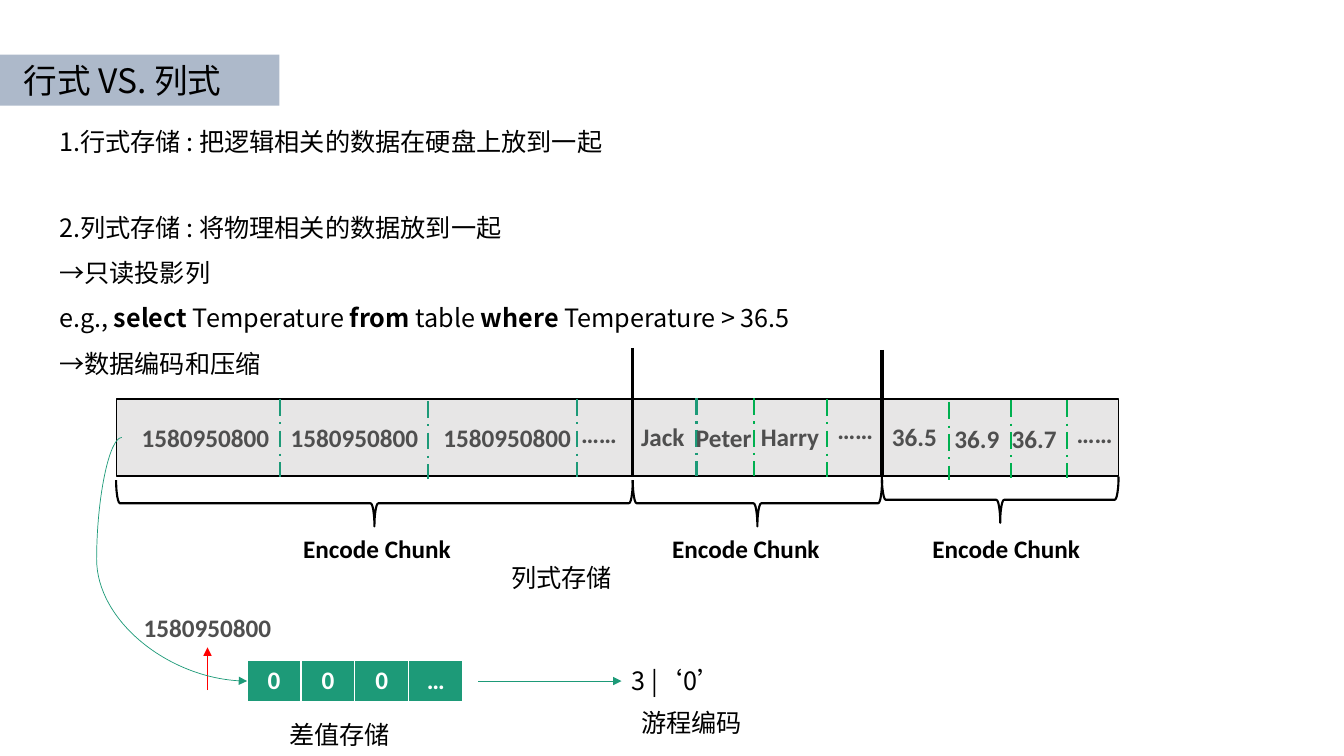
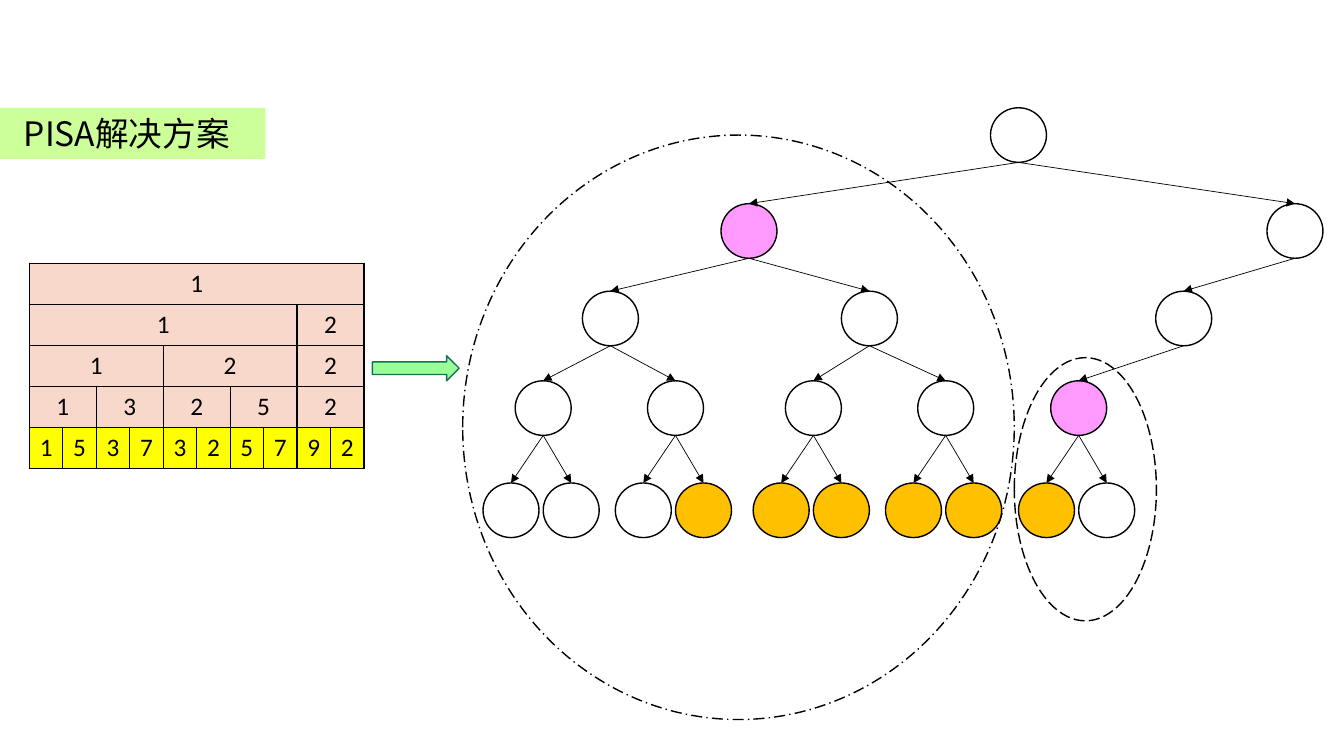
import lxml.etree
import pptx
import pptx.dml.color
import pptx.enum.dml
import pptx.enum.shapes
import pptx.enum.text
import pptx.oxml.ns
import pptx.util

Pt = pptx.util.Pt
RGBColor = pptx.dml.color.RGBColor
Align = pptx.enum.text.PP_ALIGN
Dash = pptx.enum.dml.MSO_LINE
Shape = pptx.enum.shapes.MSO_SHAPE
Connector = pptx.enum.shapes.MSO_CONNECTOR
qn = pptx.oxml.ns.qn

BLACK = RGBColor(0x00, 0x00, 0x00)
WHITE = RGBColor(0xFF, 0xFF, 0xFF)
GREY_TEXT = RGBColor(0x4F, 0x4F, 0x4F)
GREY_BAR = RGBColor(0xE7, 0xE6, 0xE6)
BLUE_BAND = RGBColor(0xAD, 0xB9, 0xCA)
LIME_BAND = RGBColor(0xCC, 0xFF, 0x99)
TEAL = RGBColor(0x1D, 0x9A, 0x78)
DARK_TEAL = RGBColor(0x15, 0x72, 0x59)
GREEN = RGBColor(0x00, 0xB0, 0x50)
LIGHT_GREEN = RGBColor(0x99, 0xFF, 0x99)
RED = RGBColor(0xFF, 0x00, 0x00)
PINK = RGBColor(0xFF, 0x99, 0xFF)
ORANGE = RGBColor(0xFF, 0xC0, 0x00)
PEACH = RGBColor(0xF8, 0xD8, 0xCA)
YELLOW = RGBColor(0xFF, 0xFF, 0x00)
LATIN = "Calibri"
CHINESE = "Noto Sans CJK SC"


def style_text(frame, name, colour, size=18, bold=None, align=Align.LEFT):
    """Format every run of a text frame; bold=None keeps the bold of each run."""
    for paragraph in frame.paragraphs:
        paragraph.alignment = align
        for span in paragraph.runs:
            span.font.size = Pt(size)
            span.font.color.rgb = colour
            span.font.name = name
            if bold is not None:
                span.font.bold = bold
            east_asian = lxml.etree.Element(qn("a:ea"), typeface=name)
            span.font._element.find(qn("a:latin")).addnext(east_asian)


def draw_line(page, start, end, colour, width, dash=None, arrow=False, kind=Connector.STRAIGHT):
    line = page.shapes.add_connector(kind, *map(Pt, start + end))
    line.line.color.rgb = colour
    line.line.width = Pt(width)
    if dash:
        line.line.dash_style = dash
    if arrow:
        lxml.etree.SubElement(line.line._get_or_add_ln(), qn("a:tailEnd"), type="triangle")
    lxml.etree.SubElement(line._element.spPr, qn("a:effectLst"))
    return line


deck = pptx.Presentation()
deck.slide_width = Pt(960)
deck.slide_height = Pt(540)

# Pages with their title bands
pages = []
for layout, text, top, width, colour in (
    (3, "行式 VS. 列式", 39, 199.5, BLUE_BAND),
    (5, "PISA解决方案", 77, 189.5, LIME_BAND),
):
    page = deck.slides.add_slide(deck.slide_layouts[layout])
    title = page.shapes.title
    title.left, title.top, title.width, title.height = Pt(0), Pt(top), Pt(width), Pt(36.5)
    title.fill.solid()
    title.fill.fore_color.rgb = colour
    title.text_frame.text = text
    title.text_frame.auto_size = pptx.enum.text.MSO_AUTO_SIZE.NONE
    title.text_frame.margin_left = Pt(17)
    style_text(title.text_frame, CHINESE, BLACK, size=24)
    pages.append(page)
storage_page, tree_page = pages

# Body text; parts between asterisks are bold
bodies = (
    (75.5, 431.5, 36, ("1.行式存储 : 把逻辑相关的数据在硬盘上放到一起",)),
    (137, 703.5, 134, (
        "2.列式存储 : 将物理相关的数据放到一起",
        "→只读投影列",
        "e.g., *select* Temperature *from* table *where* Temperature > 36.5",
        "→数据编码和压缩",
    )),
)
for number, (top, width, height, lines) in enumerate(bodies, start=1):
    body = storage_page.placeholders[number]
    body.left, body.top, body.width, body.height = Pt(35), Pt(top), Pt(width), Pt(height)
    frame = body.text_frame
    frame.auto_size = pptx.enum.text.MSO_AUTO_SIZE.NONE
    for index, text in enumerate(lines):
        paragraph = frame.add_paragraph() if index else frame.paragraphs[0]
        properties = paragraph._element.get_or_add_pPr()
        properties.set("marL", "0")
        properties.set("indent", "0")
        lxml.etree.SubElement(properties, qn("a:buNone"))
        paragraph.line_spacing = 1.5
        paragraph.space_before = Pt(0)
        for position, part in enumerate(text.split("*")):
            span = paragraph.add_run()
            span.text = part
            span.font.bold = position % 2 == 1
    style_text(frame, CHINESE, BLACK)

# Shapes: page, kind, left, top, width, height, fill, line colour, line width, dash, rotation
BAR_TOP, BAR_HEIGHT = 285, 55
CHUNK_EDGES = (83, 452, 630, 799)
shapes = [(storage_page, Shape.RECTANGLE, CHUNK_EDGES[0], BAR_TOP,
           CHUNK_EDGES[-1] - CHUNK_EDGES[0], BAR_HEIGHT, GREY_BAR, BLACK, 1, None, 0)]
BRACE_DEPTH = 33
for start, end, middle in zip(CHUNK_EDGES, CHUNK_EDGES[1:], (359.5, 359.5, 357)):
    length = end - start
    shapes.append((storage_page, Shape.LEFT_BRACE, (start + end - BRACE_DEPTH) / 2,
                   middle - length / 2, BRACE_DEPTH, length, None, BLACK, 1.5, None, 270))

shapes += [
    (tree_page, Shape.OVAL, 724.5, 255.5, 101.5, 188, WHITE, BLACK, 1, Dash.LONG_DASH, 0),
    (tree_page, Shape.OVAL, 330.5, 96.5, 394, 417.5, WHITE, BLACK, 1, Dash.LONG_DASH_DOT, 0),
    (tree_page, Shape.RIGHT_ARROW, 266, 254, 62, 18, LIGHT_GREEN, DARK_TEAL, 1, None, 0),
]

# Tree levels: each node has a centre, the index of its parent and a fill
NODE_WIDTH, NODE_HEIGHT = 40, 39
LEVEL_TOPS = (77, 145.5, 208, 272, 345)
levels = [
    [(727.5, None, WHITE)],
    [(535, 0, PINK), (925, 0, WHITE)],
    [(436, 0, WHITE), (621, 0, WHITE), (845.5, 1, WHITE)],
    [(388, 0, WHITE), (482.5, 0, WHITE), (581, 1, WHITE), (675.5, 1, WHITE), (770.5, 2, PINK)],
]
leaf_fills = ((WHITE, WHITE), (WHITE, ORANGE), (ORANGE, ORANGE), (ORANGE, ORANGE), (ORANGE, WHITE))
levels.append([
    (levels[3][parent][0] + offset, parent, fill)
    for parent, fills in enumerate(leaf_fills)
    for offset, fill in zip((-23, 20), fills)
])
for level, top in zip(levels, LEVEL_TOPS):
    for centre, parent, fill in level:
        shapes.append((tree_page, Shape.OVAL, centre - NODE_WIDTH / 2, top,
                       NODE_WIDTH, NODE_HEIGHT, fill, BLACK, 1, None, 0))

for page, kind, left, top, width, height, fill, colour, weight, dash, rotation in shapes:
    shape = page.shapes.add_shape(kind, Pt(left), Pt(top), Pt(width), Pt(height))
    shape.shadow.inherit = False
    shape.rotation = rotation
    if fill is None:
        shape.fill.background()
    else:
        shape.fill.solid()
        shape.fill.fore_color.rgb = fill
    shape.line.color.rgb = colour
    shape.line.width = Pt(weight)
    if dash:
        shape.line.dash_style = dash

# Tree arrows
for depth in range(1, len(levels)):
    for centre, parent, fill in levels[depth]:
        start = (levels[depth - 1][parent][0], LEVEL_TOPS[depth - 1] + NODE_HEIGHT)
        draw_line(tree_page, start, (centre, LEVEL_TOPS[depth]), BLACK, 0.5, arrow=True)

# Dividers of the column bar
for x, top, colour in (
    (200, 285, TEAL), (306, 286.5, TEAL), (412, 285, TEAL), (497.5, 284.5, TEAL),
    (538.5, 284.5, GREEN), (591, 285, GREEN),
    (678, 287.5, GREEN), (722, 286, GREEN), (762, 286, GREEN),
):
    draw_line(storage_page, (x, top), (x, top + 55.5), colour, 1.5, Dash.LONG_DASH_DOT)
for x, top in zip(CHUNK_EDGES[1:3], (248.5, 250)):
    draw_line(storage_page, (x, top), (x, BAR_TOP + BAR_HEIGHT), BLACK, 2.25)

# Labels: text, left, top, width
values = (
    ("1580950800", 87, 298, 119.5), ("1580950800", 193.5, 298, 119.5),
    ("1580950800", 302.5, 298, 119.5),
    ("Jack", 443, 297.5, 61), ("Peter", 486, 298, 62), ("Harry", 533, 297.5, 62.5),
    ("36.5", 623, 297.5, 60.5), ("36.9", 667.5, 299, 60.5), ("36.7", 708.5, 299, 60.5),
    ("1580950800", 88.5, 433.5, 119.5),
)
ellipses = (("……", 408, 295, 64), ("……", 591, 292.5, 54), ("……", 762, 295, 54))
chunk_names = [("Encode Chunk", left, 377.5, 132.5) for left in (209.5, 473, 659)]
captions = (
    ("列式存储", 358, 398, 107), ("差值存储", 199.5, 510.5, 88.5),
    ("游程编码", 451, 502, 106.5), ("3 |‘0’", 444, 472, 121.5),
)
boxes = []
for labels, name, colour, bold, align in (
    (ellipses, LATIN, GREY_TEXT, True, Align.LEFT),
    (chunk_names, LATIN, BLACK, True, Align.LEFT),
    (values, LATIN, GREY_TEXT, True, Align.CENTER),
    (captions, CHINESE, BLACK, False, Align.LEFT),
):
    for text, left, top, width in labels:
        box = storage_page.shapes.add_textbox(Pt(left), Pt(top), Pt(width), Pt(29))
        box.text_frame.word_wrap = True
        box.text_frame.text = text
        style_text(box.text_frame, name, colour, bold=bold, align=align)
    boxes.append(box)
base_value, run_length = boxes[2:]

# Arrows of the encoding steps
base_arrow = draw_line(storage_page, (148.25, 493), (148.25, 462.5), RED, 0.5, arrow=True)
base_arrow.end_connect(base_value, 2)
run_arrow = draw_line(storage_page, (341.5, 486.5), (444, 486.5), TEAL, 0.5, arrow=True)
run_arrow.end_connect(run_length, 1)
curve = draw_line(storage_page, (87, 312.5), (176.5, 486.5), TEAL, 0.5, arrow=True,
                  kind=Connector.CURVE)
guides = curve._element.spPr.find(qn("a:prstGeom")).find(qn("a:avLst"))
lxml.etree.SubElement(guides, qn("a:gd"), name="adj1", fmla="val -20100")

# Table of differences
differences = ("0", "0", "0", "…")
table = storage_page.shapes.add_table(
    1, len(differences), Pt(176.5), Pt(471.5), Pt(154), Pt(29.5)).table
for cell, text in zip(table.rows[0].cells, differences):
    cell.fill.solid()
    cell.fill.fore_color.rgb = TEAL
    cell.text_frame.text = text
    style_text(cell.text_frame, LATIN, WHITE, bold=True, align=Align.CENTER)

# Table of merged ranks: text and column span
rank_rows = (
    (("1", 10),),
    (("1", 8), ("2", 2)),
    (("1", 4), ("2", 4), ("2", 2)),
    (("1", 2), ("3", 2), ("2", 2), ("5", 2), ("2", 2)),
    tuple((digit, 1) for digit in "1537325792"),
)
table = tree_page.shapes.add_table(
    len(rank_rows), 10, Pt(21), Pt(188), Pt(239), Pt(146.5)).table
for row, ranks in enumerate(rank_rows):
    for cell in table.rows[row].cells:
        for side in ("a:lnL", "a:lnR", "a:lnT", "a:lnB"):
            border = lxml.etree.SubElement(
                cell._tc.get_or_add_tcPr(), qn(side), w=str(Pt(1)))
            border_fill = lxml.etree.SubElement(border, qn("a:solidFill"))
            lxml.etree.SubElement(border_fill, qn("a:srgbClr"), val=str(BLACK))
        cell.fill.solid()
        cell.fill.fore_color.rgb = YELLOW if row == len(rank_rows) - 1 else PEACH
        cell.margin_left = cell.margin_right = Pt(2)
    column = 0
    for text, width in ranks:
        cell = table.cell(row, column)
        if width > 1:
            cell.merge(table.cell(row, column + width - 1))
        cell.text_frame.text = text
        style_text(cell.text_frame, LATIN, BLACK, bold=False, align=Align.CENTER)
        column += width

deck.save("out.pptx")
